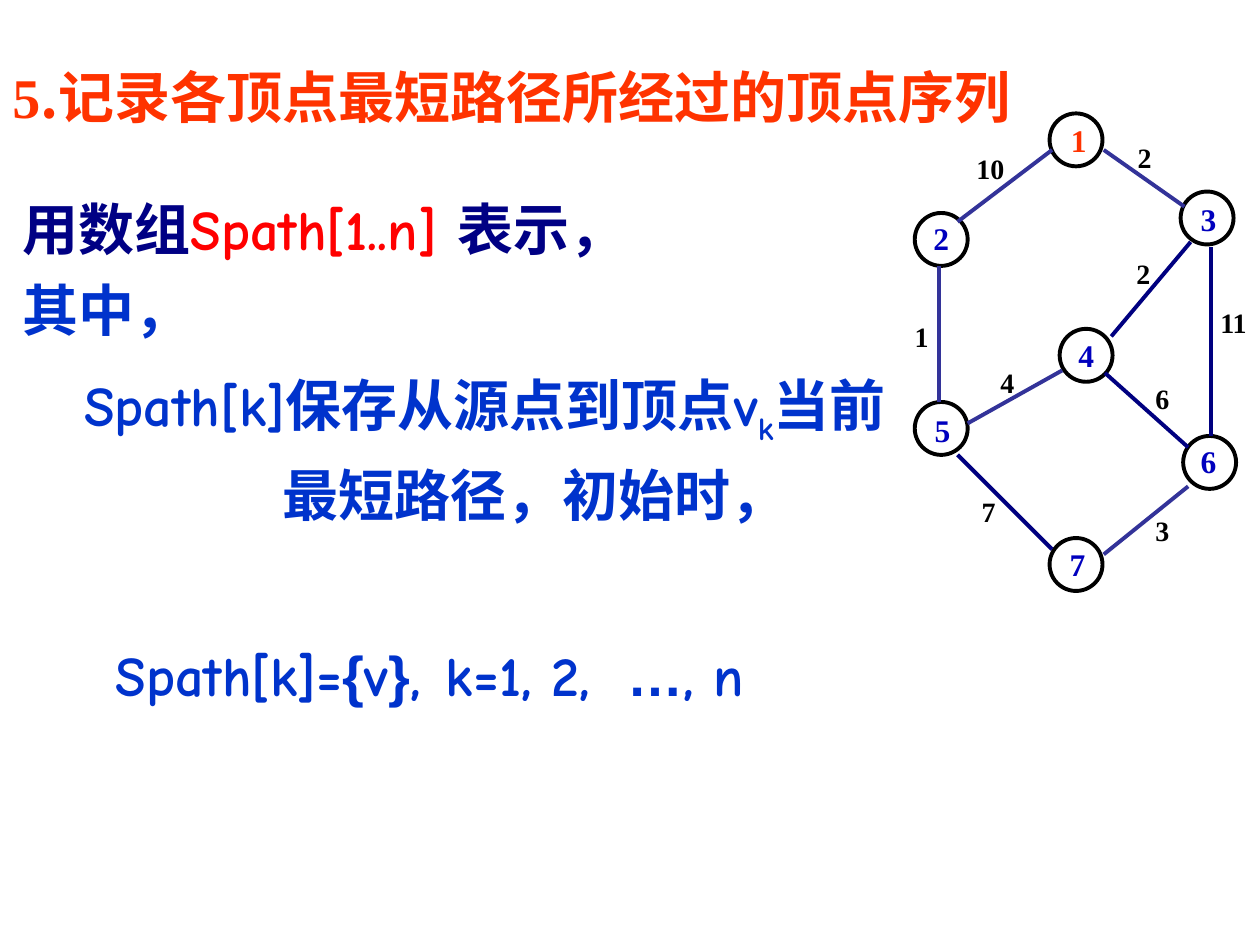
from lxml.etree import SubElement, fromstring
from pptx import Presentation
from pptx.dml.color import RGBColor
from pptx.enum.shapes import MSO_CONNECTOR, MSO_SHAPE
from pptx.enum.text import MSO_AUTO_SIZE, PP_ALIGN
from pptx.oxml.ns import nsdecls, qn
from pptx.util import Inches, Pt

COLORS = {
    "black": "000000",
    "orange": "FF3300",
    "red": "FF0000",
    "node": "0000BE",
    "indigo": "333399",
    "navy": "000080",
    "lead": "000084",
    "blue": "0033CC",
}
SERIF, HAN, COMIC, SANS = "Times New Roman", "Noto Sans CJK SC", "Comic Neue", "Arial"
NODE_SIZE = 0.42

# number: (circle left, circle top, label left, label top)
NODES = {
    "1": (8.33, 0.9, 8.4, 0.91),
    "2": (7.26, 1.69, 7.31, 1.69),
    "3": (9.37, 1.52, 9.43, 1.54),
    "4": (8.41, 2.61, 8.46, 2.62),
    "5": (7.26, 3.19, 7.32, 3.21),
    "6": (9.39, 3.46, 9.43, 3.46),
    "7": (8.33, 4.27, 8.39, 4.28),
}
# weight, color, start, end, label position
EDGES = [
    ("2", "indigo", (8.76, 1.19), (9.4, 1.64), (8.93, 1.07)),
    ("10", "indigo", (8.35, 1.19), (7.6, 1.76), (7.65, 1.15)),
    ("11", "navy", (9.61, 1.96), (9.61, 3.46), (9.58, 2.38)),
    ("1", "indigo", (7.45, 2.11), (7.45, 3.19), (7.16, 2.49)),
    ("2", "navy", (9.45, 1.92), (8.82, 2.67), (8.92, 1.99)),
    ("4", "indigo", (7.68, 3.36), (8.43, 2.94), (7.84, 2.85)),
    ("6", "navy", (8.77, 2.96), (9.43, 3.55), (9.07, 2.98)),
    ("7", "navy", (7.6, 3.61), (8.35, 4.36), (7.69, 3.88)),
    ("3", "indigo", (9.43, 3.86), (8.76, 4.4), (9.07, 4.03)),
]


class SlideBuilder:
    def __init__(self, page):
        self.page = page
        self.line_width = Pt(2.25)

    def color(self, name):
        return RGBColor.from_string(COLORS[name])

    def span(self, paragraph, text, font, color, size=32, subscript=False, shadow=False):
        """Add a bold run with matching Latin and East Asian fonts."""
        span = paragraph.add_run()
        span.text = text
        for name, value in {"name": font, "size": Pt(size), "bold": True}.items():
            setattr(span.font, name, value)
        span.font.color.rgb = self.color(color)
        properties = span.font._element
        east_asian = SubElement(properties, qn("a:ea"))
        east_asian.set("typeface", HAN if font == COMIC else font)
        if subscript:
            properties.set("baseline", "-25000")
        if shadow:
            properties.find(qn("a:solidFill")).addnext(fromstring(
                f'<a:effectLst {nsdecls("a")}><a:outerShdw dist="35921" dir="2700000">'
                f'<a:srgbClr val="{COLORS["black"]}"/></a:outerShdw></a:effectLst>'))

    def text(self, place, paragraphs, wrap=True, align=None, spacing=None,
             hanging=0, tabs=(), **style):
        """Add a text box; each paragraph is a list of span arguments."""
        frame = self.page.shapes.add_textbox(*map(Inches, place)).text_frame
        frame.word_wrap = wrap
        frame.auto_size = MSO_AUTO_SIZE.SHAPE_TO_FIT_TEXT
        for index, spans in enumerate(paragraphs):
            paragraph = frame.add_paragraph() if index else frame.paragraphs[0]
            properties = paragraph._p.get_or_add_pPr()
            if hanging:
                properties.set("marL", str(Inches(hanging)))
                properties.set("indent", str(-Inches(hanging)))
            if tabs:
                stops = SubElement(properties, qn("a:tabLst"))
                for stop in tabs:
                    SubElement(stops, qn("a:tab"), pos=str(Inches(stop)), algn="l")
            for name, value in {"alignment": align, "line_spacing": spacing}.items():
                setattr(paragraph, name, value)
            for arguments in spans:
                self.span(paragraph, *arguments, **style)

    def label(self, place, text, color, size):
        self.text(place, [[(text, SERIF, color, size)]], wrap=False, align=PP_ALIGN.CENTER)

    def node(self, left, top):
        circle = self.page.shapes.add_shape(
            MSO_SHAPE.OVAL, *map(Inches, (left, top, NODE_SIZE, NODE_SIZE)))
        circle.shadow.inherit = False
        circle.fill.background()
        circle.line.color.rgb = self.color("black")
        circle.line.width = self.line_width

    def edge(self, start, end, color):
        line = self.page.shapes.add_connector(
            MSO_CONNECTOR.STRAIGHT, *map(Inches, (*start, *end)))
        line.line.color.rgb = self.color(color)
        line.line.width = self.line_width
        SubElement(line._element.spPr, qn("a:effectLst"))


def draw_graph(builder):
    for number, (left, top, label_left, label_top) in NODES.items():
        builder.node(left, top)
        color = "orange" if number == "1" else "node"
        builder.label((label_left, label_top, 0.32, 0.4), number, color, 18)
    for weight, color, start, end, position in EDGES:
        builder.edge(start, end, color)
        width = 0.42 if len(weight) == 2 else 0.31
        builder.label((*position, width, 0.37), weight, "black", 16)


def draw_text(builder):
    builder.text((0, 0.45, 8.69, 0.64), [[
        ("5", SERIF, "orange"),
        (".记录各顶点最短路径所经过的顶点序列", HAN, "orange"),
    ]], hanging=0.39, shadow=True)
    builder.text((0.08, 1.39, 6.65, 1.38), [
        [("用数组", HAN, "lead"), ("Spath[1..n] ", COMIC, "red"), ("表示，", HAN, "lead")],
        [("其中，", HAN, "blue")],
    ], spacing=1.2)
    builder.text((0.57, 2.77, 6.65, 1.47), [[
        ("Spath[k]保存从源点", COMIC, "blue"),
        ("到顶点", HAN, "blue"),
        ("v", COMIC, "blue"),
        ("k", COMIC, "blue", 32, True),
        ("当前最短路径，初始时，", HAN, "blue"),
    ]], spacing=1.2, hanging=1.57)
    builder.text((0.82, 4.93, 9.11, 0.74), [[
        ("Spath[k]=", COMIC, "blue"),
        ("{", SANS, "blue"),
        ("v", COMIC, "blue"),
        ("}", SANS, "blue"),
        (",\tk=1, 2,\t", COMIC, "blue"),
        ("…", SANS, "blue"),
        (", n", COMIC, "blue"),
    ]], spacing=1.2, tabs=(2.62, 4.06))


def main():
    deck = Presentation()
    deck.slide_width, deck.slide_height = Inches(10), Inches(7.5)
    builder = SlideBuilder(deck.slides.add_slide(deck.slide_layouts[6]))
    draw_graph(builder)
    draw_text(builder)
    deck.save("out.pptx")


if __name__ == "__main__":
    main()
